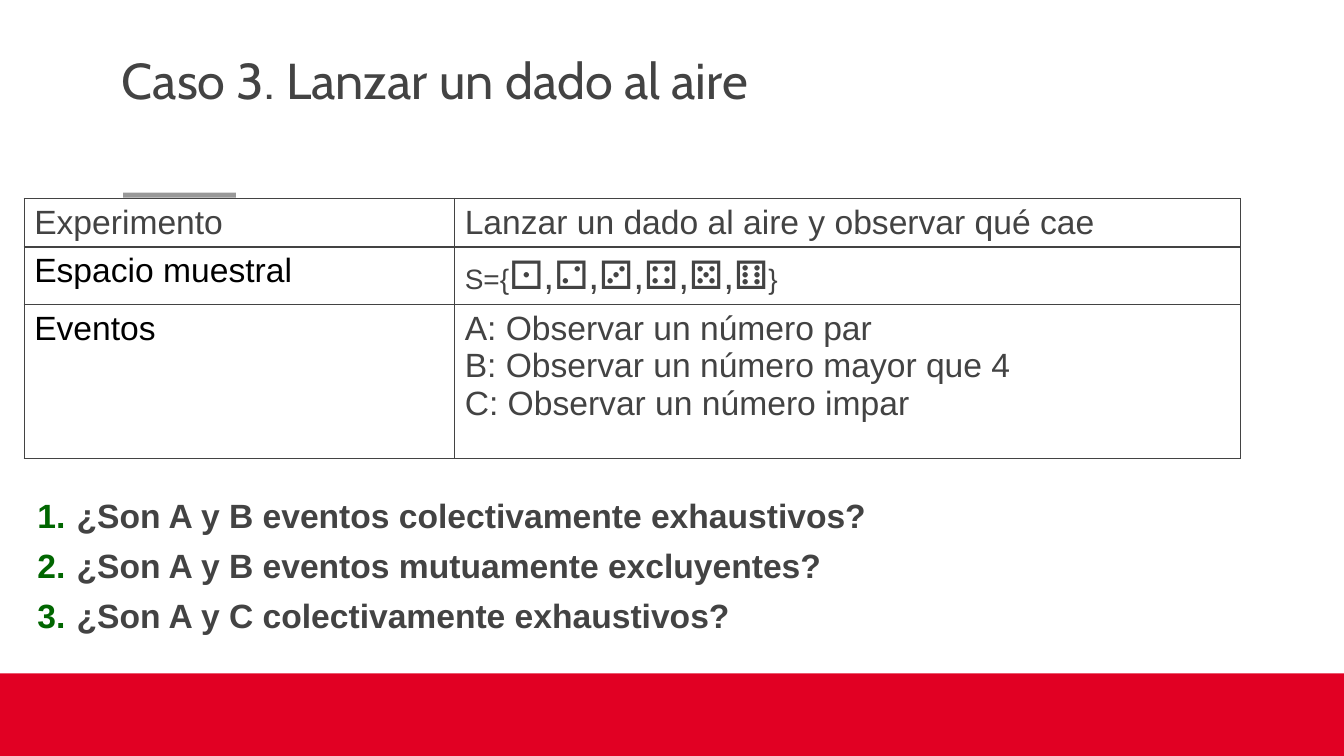
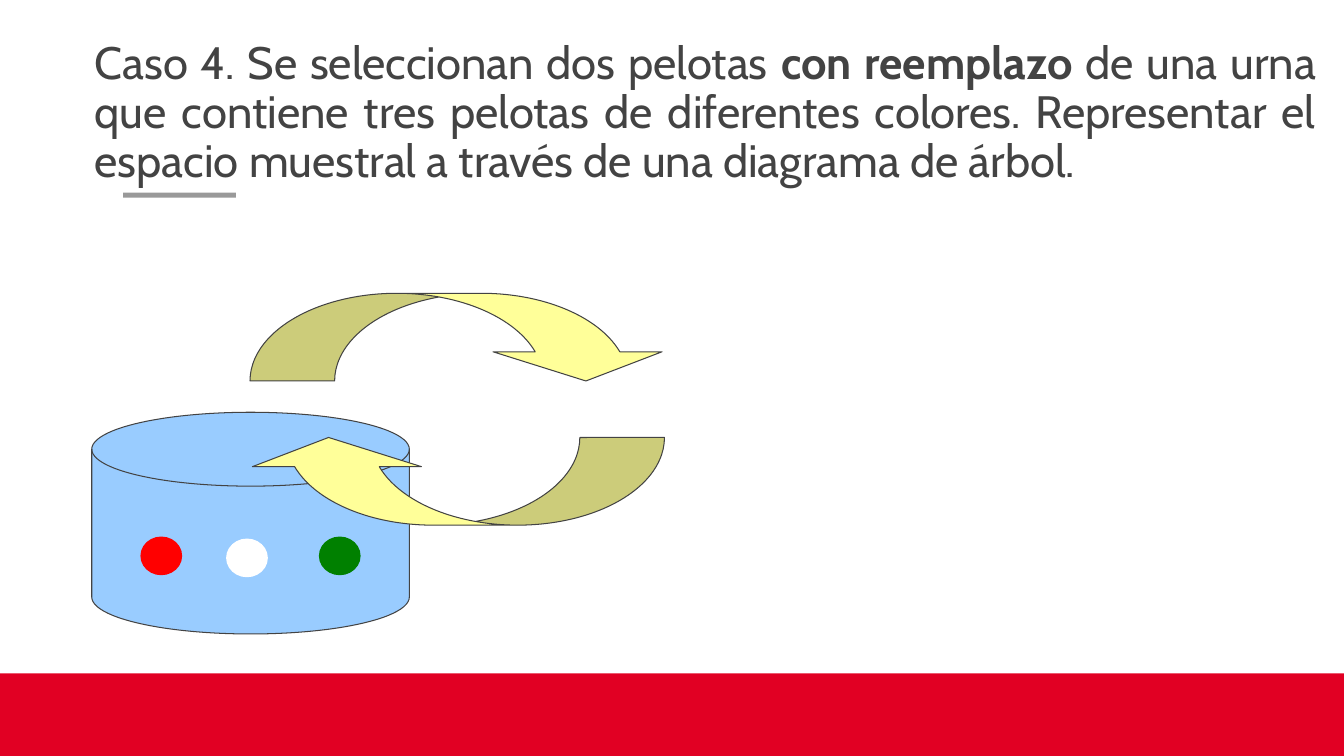
"""Build two slides on sample spaces: a die throw and an urn with replacement."""
from lxml import etree
from pptx import Presentation
from pptx.dml.color import RGBColor
from pptx.enum.shapes import MSO_SHAPE
from pptx.enum.text import PP_ALIGN
from pptx.oxml.ns import qn
from pptx.util import Inches, Pt

RECT, BALL = MSO_SHAPE.RECTANGLE, MSO_SHAPE.OVAL
DISK, ARROW = MSO_SHAPE.FLOWCHART_MAGNETIC_DISK, MSO_SHAPE.CURVED_DOWN_ARROW
LEFT, JUST = PP_ALIGN.LEFT, PP_ALIGN.JUSTIFY

INK = {"text": "434343", "black": "000000", "band": "E10023", "rule": "999999",
       "num": "006600", "urn": "99CCFF", "arrow": "FFFF99",
       "red": "FF0000", "white": "FFFFFF", "green": "008000"}
BODY, HEAD = "Arial", "Cabin"

CASE3 = [("Caso 3. Lanzar un dado al aire", False)]
CASE4 = [("Caso 4. Se seleccionan dos pelotas ", False), ("con reemplazo ", True),
         ("de una urna que contiene tres pelotas de diferentes colores. "
          "Representar el espacio muestral a través de una diagrama de árbol.", False)]
DICE = "⚀,⚁,⚂,⚃,⚄,⚅"
SPACE = [("S={", 20, BODY),
         *((sign, 28, BODY if sign == "," else HEAD) for sign in DICE),
         ("}", 20, BODY)]
ROWS = [
    ("Experimento", "text", [[("Lanzar un dado al aire y observar qué cae", 24, BODY)]]),
    ("Espacio muestral", "black", [SPACE]),
    ("Eventos", "black", [[(line, 24, BODY)] for line in (
        "A: Observar un número par",
        "B: Observar un número mayor que 4",
        "C: Observar un número impar")]),
]
COLS, HIGHS = (4.27, 7.79), (0.48, 0.57, 1.53)
ASKS = ["¿Son A y B eventos colectivamente exhaustivos?",
        "¿Son A y B eventos mutuamente excluyentes?",
        "¿Son A y C colectivamente exhaustivos?"]
BENDS = (0.965, 1.927, 0.333)
PARTS = [
    (DISK, (0.91, 4.09, 3.15, 2.2), "urn", "text", 0.75, 0),
    (ARROW, (2.48, 2.91, 4.17, 0.87), "arrow", "text", 0.75, 0),
    *((BALL, (x, y, 0.4, 0.37), hue, hue, 1, 0) for x, y, hue in (
        (1.4, 5.33, "red"), (2.25, 5.35, "white"), (3.17, 5.33, "green"))),
    (ARROW, (2.42, 4.34, 4.17, 0.87), "arrow", "text", 0.75, 180),
]


def rgb(hue):
    return RGBColor.from_string(INK[hue])


def place(box):
    return [Inches(v) for v in box]


def add_run(para, text, size, face, hue="text", bold=False):
    run = para.add_run()
    run.text = text
    font = run.font
    font.size, font.name, font.bold = Pt(size), face, bold
    font.color.rgb = rgb(hue)


def add_part(slide, kind, box, hue, edge=None, width=0, turn=0):
    part = slide.shapes.add_shape(kind, *place(box))
    part.shadow.inherit = False
    part.fill.solid()
    part.fill.fore_color.rgb = rgb(hue)
    if edge:
        part.line.color.rgb = rgb(edge)
        part.line.width = Pt(width)
    else:
        part.line.fill.background()
    part.rotation = turn
    if kind == ARROW:
        for i, bend in enumerate(BENDS):
            part.adjustments[i] = bend


def add_base(deck):
    slide = deck.slides.add_slide(deck.slide_layouts[6])
    add_part(slide, RECT, (0, 6.68, 13.33, 0.82), "band")
    add_part(slide, RECT, (1.22, 1.91, 1.12, 0.05), "rule")
    return slide


def add_title(slide, runs, box, size, align):
    frame = slide.shapes.add_textbox(*place(box)).text_frame
    frame.word_wrap = True
    para = frame.paragraphs[0]
    para.alignment, para.line_spacing = align, 0.9
    for text, bold in runs:
        add_run(para, text, size, HEAD, bold=bold)


def set_edges(cell):
    props = cell.fill._xPr
    for i, side in enumerate(("lnL", "lnR", "lnT", "lnB")):
        line = etree.Element(qn("a:" + side), w=str(Pt(1)))
        fill = etree.SubElement(line, qn("a:solidFill"))
        etree.SubElement(fill, qn("a:srgbClr"), val=INK["text"])
        props.insert(i, line)


def fill_cell(cell, paras, hue):
    cell.fill.background()
    set_edges(cell)
    frame = cell.text_frame
    for i, runs in enumerate(paras):
        para = frame.add_paragraph() if i else frame.paragraphs[0]
        for text, size, face in runs:
            add_run(para, text, size, face, hue)


def add_grid(slide):
    box = (0.24, 1.97, sum(COLS), sum(HIGHS))
    grid = slide.shapes.add_table(len(ROWS), len(COLS), *place(box)).table
    grid.first_row = grid.horz_banding = False
    for col, wide in zip(grid.columns, COLS):
        col.width = Inches(wide)
    for i, (label, hue, paras) in enumerate(ROWS):
        grid.rows[i].height = Inches(HIGHS[i])
        fill_cell(grid.cell(i, 0), [[(label, 24, BODY)]], hue)
        fill_cell(grid.cell(i, 1), paras, "text")


def add_asks(slide):
    frame = slide.shapes.add_textbox(*place((0.37, 4.91, 9.29, 1.25))).text_frame
    frame.word_wrap = True
    frame.margin_left = frame.margin_right = 0
    frame.margin_top = frame.margin_bottom = 0
    for i, ask in enumerate(ASKS):
        para = frame.add_paragraph() if i else frame.paragraphs[0]
        para.space_before = Pt(7)
        add_run(para, ask, 24, BODY, bold=True)
        props = para._p.get_or_add_pPr()
        props.set("marL", str(Inches(0.39)))
        props.set("indent", str(-Inches(0.39)))
        tint = etree.SubElement(props, qn("a:buClr"))
        etree.SubElement(tint, qn("a:srgbClr"), val=INK["num"])
        etree.SubElement(props, qn("a:buFont"), typeface=BODY)
        etree.SubElement(props, qn("a:buAutoNum"), type="arabicPeriod")


def main():
    deck = Presentation()
    deck.slide_width, deck.slide_height = Inches(13.33), Inches(7.5)

    die = add_base(deck)
    add_grid(die)
    add_title(die, CASE3, (1.11, 0.51, 10.89, 1.05), 36, LEFT)
    add_asks(die)

    urn = add_base(deck)
    add_title(urn, CASE4, (0.84, 0.35, 12.31, 1.97), 32.4, JUST)
    for part in PARTS:
        add_part(urn, *part)

    deck.save("out.pptx")


if __name__ == "__main__":
    main()
